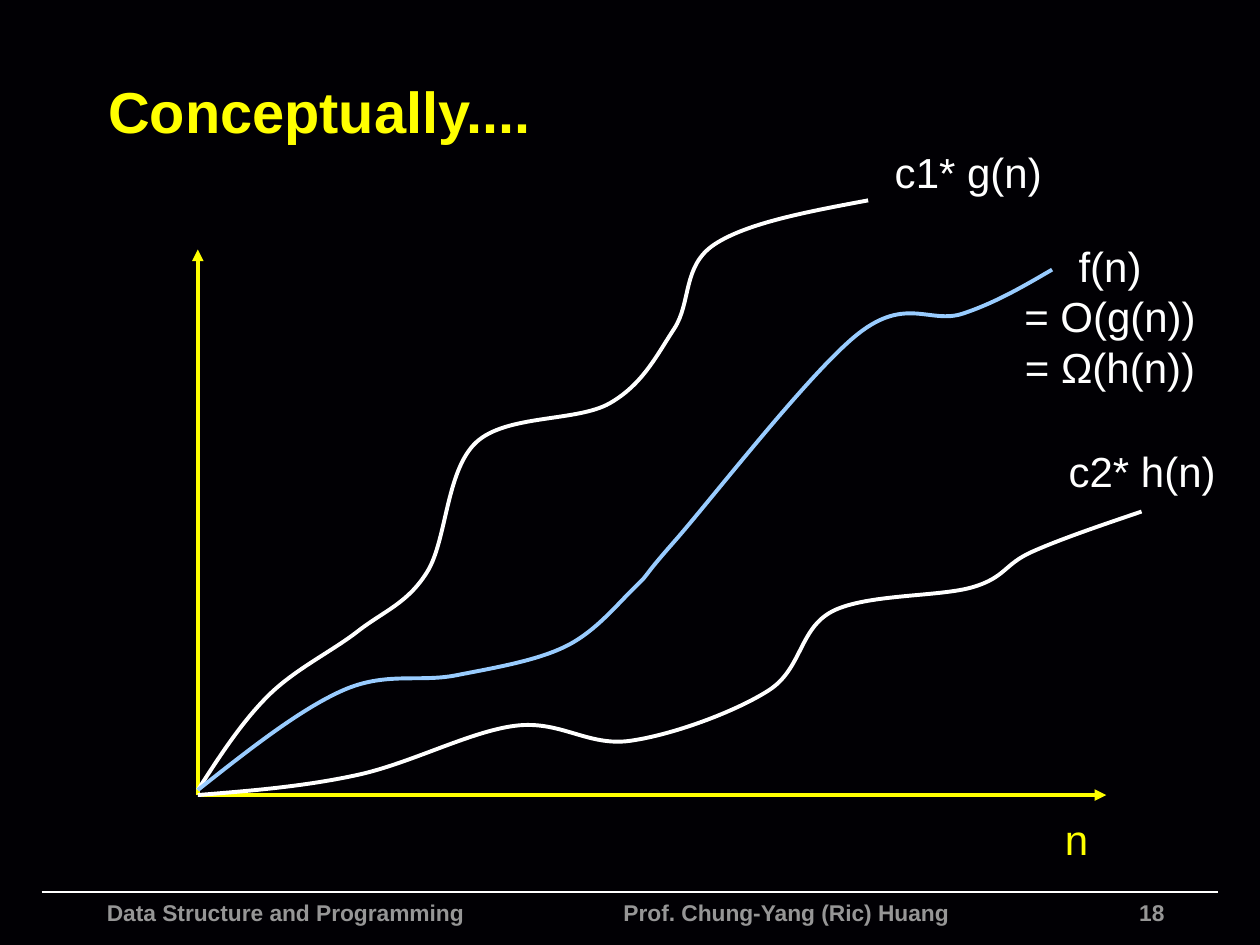
from lxml.etree import SubElement
from pptx import Presentation
from pptx.dml.color import RGBColor
from pptx.enum.shapes import MSO_CONNECTOR as CONN
from pptx.enum.text import MSO_ANCHOR as ANCHOR, PP_ALIGN as ALIGN
from pptx.oxml.ns import qn
from pptx.util import Inches, Pt

BLACK = RGBColor(0x01, 0x00, 0x04)
WHITE = RGBColor(0xFF, 0xFF, 0xFF)
YELLOW = RGBColor(0xFF, 0xFF, 0x00)
BLUE = RGBColor(0x99, 0xCC, 0xFF)
GRAY = RGBColor(0x96, 0x96, 0x96)

TITLE = {"size": Pt(33), "bold": True}
LABEL = {"size": Pt(24), "bold": False}
FOOTER = {"size": Pt(13), "bold": True}

ORIGIN = (1.57, 6.31)
X_AXIS_END = (8.78, ORIGIN[1])
Y_AXIS_END = (ORIGIN[0], 1.98)
CURVE_START = (ORIGIN[0], 6.27)
FOOTER_TOP = 7.08

C2_H_KNOTS = [ORIGIN, (2.84, 6.15), (4.09, 5.76), (5, 5.88), (6.1, 5.48),
              (6.61, 4.85), (7.72, 4.66), (8.19, 4.38), (9.06, 4.06)]
C1_G_KNOTS = [CURVE_START, (2.13, 5.52), (2.84, 5.01), (3.39, 4.54), (3.78, 3.51),
              (4.84, 3.2), (5.35, 2.61), (5.67, 1.94), (6.89, 1.59)]
F_KNOTS = [CURVE_START, (2.72, 5.48), (3.62, 5.36), (4.49, 5.13), (5.04, 4.66),
           (5.35, 4.3), (6.81, 2.65), (7.64, 2.49), (8.35, 2.14)]


def midpoint(a, b):
    return (a[0] + b[0]) / 2, (a[1] + b[1]) / 2


def handles(before, knot, after):
    dx, dy = (after[0] - before[0]) / 6, (after[1] - before[1]) / 6
    return (knot[0] - dx, knot[1] - dy), (knot[0] + dx, knot[1] + dy)


def smooth_segments(knots):
    inner = [handles(*trio) for trio in zip(knots, knots[1:], knots[2:])]
    arriving = [h[0] for h in inner]
    leaving = [h[1] for h in inner]
    leaving.insert(0, midpoint(knots[0], arriving[0]))
    arriving.append(midpoint(leaving[-1], knots[-1]))
    return list(zip(leaving, arriving, knots[1:]))


class SlideBuilder:
    font = "Arial"
    weight = 2.25

    def __init__(self, slide):
        self.slide = slide
        fill = slide.background.fill
        fill.solid()
        fill.fore_color.rgb = BLACK

    def text(self, box, lines, style, color, align=ALIGN.LEFT,
             anchor=ANCHOR.TOP, wrap=True, side=0.1, tab=None):
        sp = self.slide.shapes.add_textbox(*map(Inches, box))
        tf = sp.text_frame
        frame = {"word_wrap": wrap, "vertical_anchor": anchor,
                 "margin_left": Inches(side), "margin_right": Inches(side)}
        for name, value in frame.items():
            setattr(tf, name, value)
        tf.text = "\n".join(lines)
        for p in tf.paragraphs:
            p.alignment = align
            if tab:
                tabs = SubElement(p._p.get_or_add_pPr(), qn("a:tabLst"))
                SubElement(tabs, qn("a:tab"), pos=str(Inches(tab)), algn="l")
            for r in p.runs:
                r.font.color.rgb = color
                for name, value in {"name": self.font, **style}.items():
                    setattr(r.font, name, value)

    def label(self, box, lines, color=WHITE):
        self.text(box, lines, LABEL, color, ALIGN.CENTER, wrap=False, side=0.05)

    def line(self, start, end, color, weight=weight, arrow=False):
        sp = self.slide.shapes.add_connector(
            CONN.STRAIGHT, *map(Inches, (*start, *end)))
        sp.line.color.rgb = color
        sp.line.width = Pt(weight)
        if arrow:
            SubElement(sp.line._get_or_add_ln(), qn("a:tailEnd"), type="triangle")
        SubElement(sp._element.spPr, qn("a:effectLst"))

    def curve(self, knots, color):
        segments = smooth_segments(knots)
        points = [(Inches(x), Inches(y)) for trio in segments for x, y in trio]
        builder = self.slide.shapes.build_freeform(*map(Inches, knots[0]))
        builder.add_line_segments(points, close=False)
        sp = builder.convert_to_shape()
        sp.shadow.inherit = False
        sp.fill.background()
        sp.line.color.rgb = color
        sp.line.width = Pt(self.weight)
        outline = next(sp._element.iter(qn("a:path")))
        straights = outline.findall(qn("a:lnTo"))
        for i in range(0, len(straights), 3):
            bezier = SubElement(outline, qn("a:cubicBezTo"))
            for straight in straights[i:i + 3]:
                bezier.append(straight[0])
                outline.remove(straight)


def main():
    prs = Presentation()
    prs.slide_width, prs.slide_height = Inches(10), Inches(7.5)
    s = SlideBuilder(prs.slides.add_slide(prs.slide_layouts[6]))

    s.line((0.33, FOOTER_TOP), (9.67, FOOTER_TOP), WHITE, weight=1)
    s.text((6.17, FOOTER_TOP, 3.17, 0.18), ["18"], FOOTER, GRAY, ALIGN.RIGHT)
    s.text((0.75, FOOTER_TOP, 7.24, 0.42),
           ["Data Structure and Programming\tProf. Chung-Yang (Ric) Huang"],
           FOOTER, GRAY, tab=4.1)
    s.text((0.76, 0.37, 8.84, 1.01), ["Conceptually...."], TITLE, YELLOW,
           anchor=ANCHOR.MIDDLE)

    for axis_end in (X_AXIS_END, Y_AXIS_END):
        s.line(ORIGIN, axis_end, YELLOW, arrow=True)
    s.label((8.4, 6.41, 0.29, 0.5), ["n"], YELLOW)

    for knots, color in ((C2_H_KNOTS, WHITE), (C1_G_KNOTS, WHITE), (F_KNOTS, BLUE)):
        s.curve(knots, color)
    s.label((8.04, 1.86, 1.54, 1.3), ["f(n)", "= О(g(n))", "= Ω(h(n))"])
    s.label((7.05, 1.11, 1.27, 0.5), ["c1* g(n)"])
    s.label((8.43, 3.49, 1.27, 0.5), ["c2* h(n)"])

    prs.save("out.pptx")


if __name__ == "__main__":
    main()
